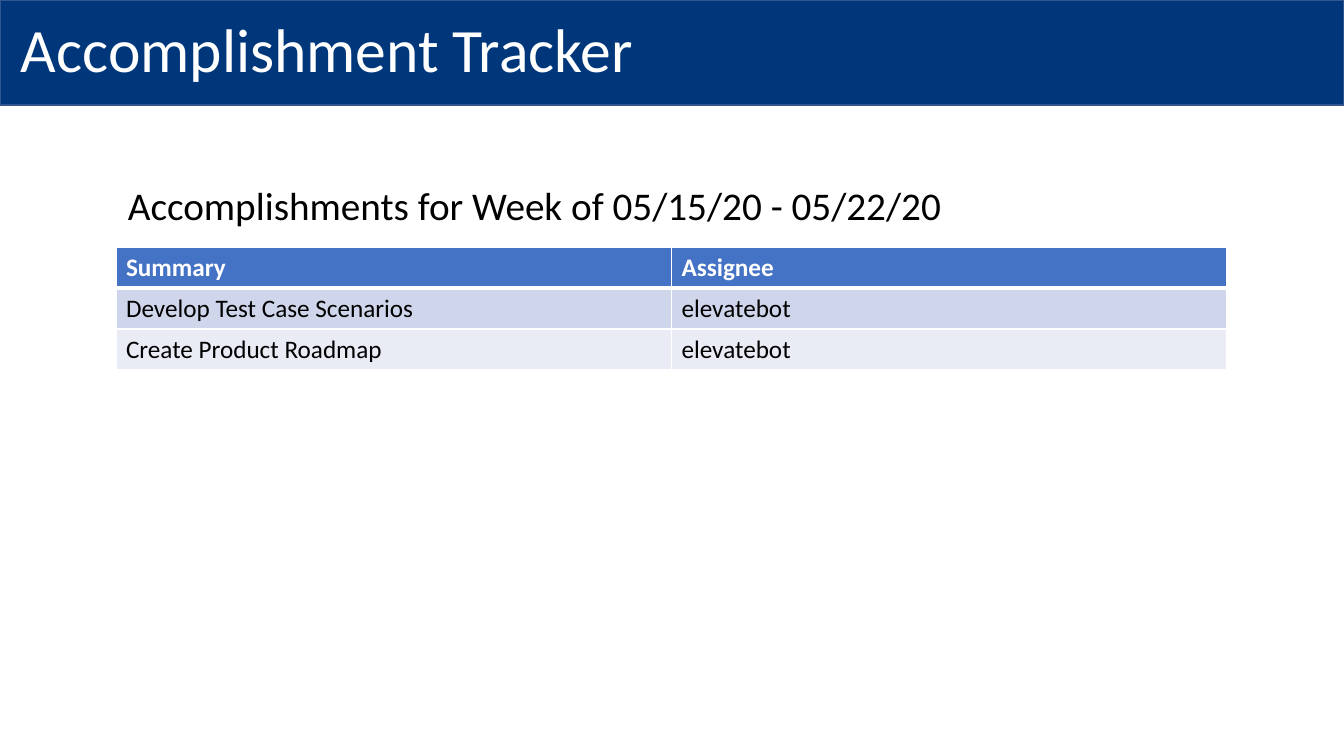
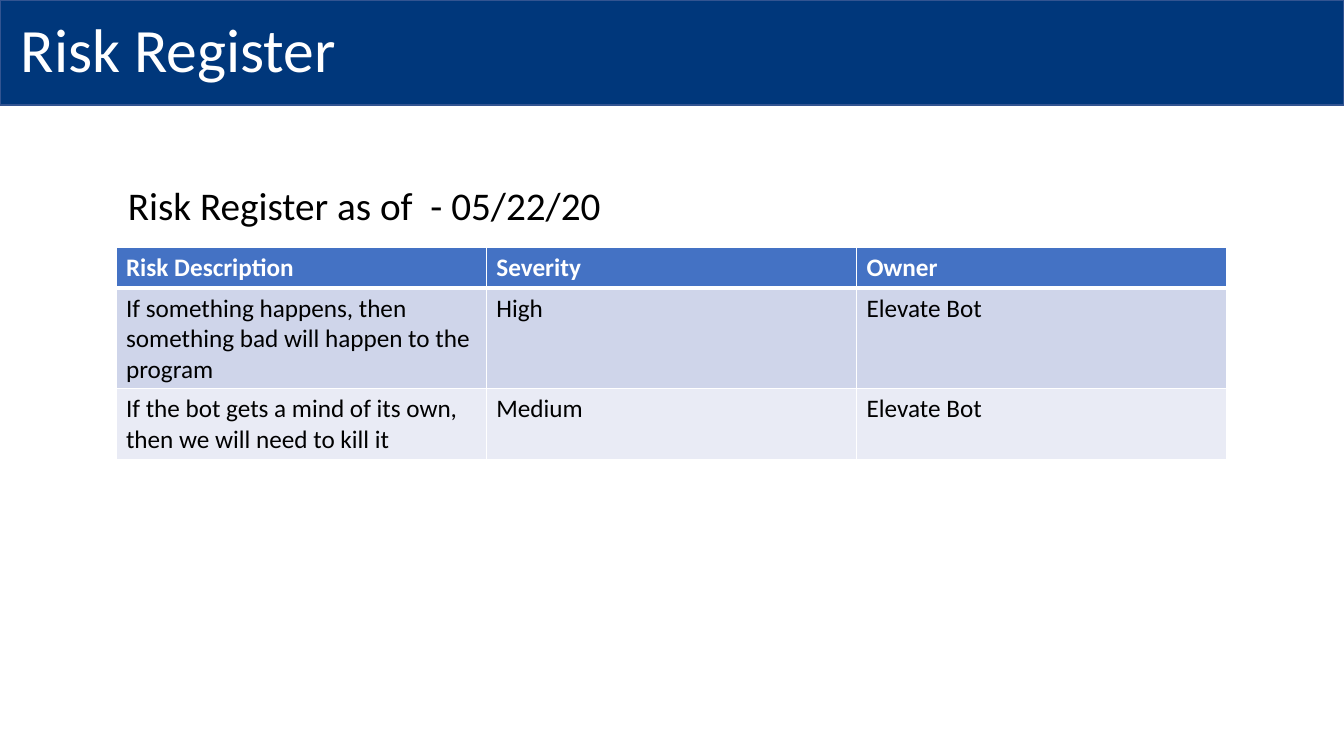
from dataclasses import dataclass

from lxml import etree
from pptx import Presentation
from pptx.dml.color import RGBColor
from pptx.enum.shapes import MSO_SHAPE
from pptx.enum.text import MSO_ANCHOR
from pptx.oxml.ns import qn
from pptx.slide import Slide
from pptx.table import _Cell
from pptx.text.text import TextFrame
from pptx.util import Emu, Pt

RECTANGLE = MSO_SHAPE.RECTANGLE
TOP, MIDDLE = MSO_ANCHOR.TOP, MSO_ANCHOR.MIDDLE
PIXEL = 12192000 / 1344
BLANK_LAYOUT = 6


@dataclass(frozen=True)
class Theme:
    """Colours, font and type sizes of the deck."""
    font: str = "Calibri"
    band: str = "00377B"
    band_line: str = "325491"
    white: str = "FFFFFF"
    black: str = "000000"
    header: str = "4472C4"
    stripes: tuple[str, str] = ("CFD5EA", "E9EBF5")
    title_size: int = 44
    heading_size: int = 28
    table_size: int = 18
    thin_rule: int = 1
    header_rule: int = 3


@dataclass(frozen=True)
class Area:
    """A rectangle in pixels."""
    left: int
    top: int
    width: int
    height: int

    def emu(self) -> tuple[Emu, Emu, Emu, Emu]:
        """Return the rectangle in EMU."""
        return (pixels(self.left), pixels(self.top),
                pixels(self.width), pixels(self.height))


@dataclass(frozen=True)
class TextStyle:
    """Look of one line of text."""
    size: int
    color: str
    bold: bool = False
    spacing: float = 1.0


@dataclass(frozen=True)
class Report:
    """Content of one page: the first row is the table header."""
    title: str
    heading: str
    rows: tuple[tuple[str, ...], ...]


THEME = Theme()
PAGE = Area(0, 0, 1344, 756)
BAND = Area(0, 0, PAGE.width, 105)
TITLE = Area(11, 0, 1159, BAND.height)
HEADING = Area(118, 176, 907, 57)
TABLE_LEFT, TABLE_TOP, TABLE_WIDTH, ROW_HEIGHT = 116, 247, 1111, 41

TITLE_STYLE = TextStyle(THEME.title_size, THEME.white, spacing=0.9)
HEADING_STYLE = TextStyle(THEME.heading_size, THEME.black)
HEADER_STYLE = TextStyle(THEME.table_size, THEME.white, bold=True)
BODY_STYLE = TextStyle(THEME.table_size, THEME.black)

REPORTS = (
    Report(
        "Accomplishment Tracker",
        "Accomplishments for Week of 05/15/20 - 05/22/20",
        (("Summary", "Assignee"),
         ("Develop Test Case Scenarios", "elevatebot"),
         ("Create Product Roadmap", "elevatebot")),
    ),
    Report(
        "Risk Register",
        "Risk Register as of  - 05/22/20",
        (("Risk Description", "Severity", "Owner"),
         ("If something happens, then something bad will happen to the program",
          "High", "Elevate Bot"),
         ("If the bot gets a mind of its own, then we will need to kill it",
          "Medium", "Elevate Bot")),
    ),
)


def pixels(count: int) -> Emu:
    """Turn pixels into EMU."""
    return Emu(round(count * PIXEL))


def write(frame: TextFrame, text: str, style: TextStyle) -> None:
    """Put one styled paragraph into a text frame."""
    frame.word_wrap = True
    paragraph = frame.paragraphs[0]
    paragraph.text = text
    paragraph.line_spacing = style.spacing
    font = paragraph.font
    font.name = THEME.font
    font.size = Pt(style.size)
    font.bold = style.bold
    font.color.rgb = RGBColor.from_string(style.color)


def add_band(page: Slide) -> None:
    """Draw the band behind the title."""
    band = page.shapes.add_shape(RECTANGLE, *BAND.emu())
    band.shadow.inherit = False
    band.fill.solid()
    band.fill.fore_color.rgb = RGBColor.from_string(THEME.band)
    band.line.color.rgb = RGBColor.from_string(THEME.band_line)
    band.line.width = Pt(1)


def add_text(page: Slide, area: Area, text: str, style: TextStyle,
             anchor: MSO_ANCHOR = TOP) -> None:
    """Add a text box with one paragraph."""
    box = page.shapes.add_textbox(*area.emu())
    box.text_frame.vertical_anchor = anchor
    write(box.text_frame, text, style)


def set_borders(cell: _Cell, top: int, bottom: int) -> None:
    """Give a cell white borders; widths are in points."""
    properties = cell._tc.get_or_add_tcPr()
    widths = {"a:lnL": THEME.thin_rule, "a:lnR": THEME.thin_rule,
              "a:lnT": top, "a:lnB": bottom}
    for tag, width in widths.items():
        line = etree.SubElement(properties, qn(tag), w=str(Pt(width)))
        fill = etree.SubElement(line, qn("a:solidFill"))
        etree.SubElement(fill, qn("a:srgbClr"), val=THEME.white)


def add_table(page: Slide, rows: tuple[tuple[str, ...], ...]) -> None:
    """Add a striped table with equal columns and a header row."""
    area = Area(TABLE_LEFT, TABLE_TOP, TABLE_WIDTH, ROW_HEIGHT * len(rows))
    table = page.shapes.add_table(len(rows), len(rows[0]), *area.emu()).table
    for row, texts in enumerate(rows):
        is_header = row == 0
        style = HEADER_STYLE if is_header else BODY_STYLE
        color = THEME.header if is_header else THEME.stripes[(row - 1) % 2]
        top = THEME.header_rule if row == 1 else THEME.thin_rule
        bottom = THEME.header_rule if is_header else THEME.thin_rule
        for column, text in enumerate(texts):
            cell = table.cell(row, column)
            write(cell.text_frame, text, style)
            set_borders(cell, top, bottom)
            cell.fill.solid()
            cell.fill.fore_color.rgb = RGBColor.from_string(color)


def main() -> None:
    """Build and save the deck."""
    deck = Presentation()
    deck.slide_width, deck.slide_height = pixels(PAGE.width), pixels(PAGE.height)
    for report in REPORTS:
        page = deck.slides.add_slide(deck.slide_layouts[BLANK_LAYOUT])
        add_band(page)
        add_text(page, TITLE, report.title, TITLE_STYLE, MIDDLE)
        add_table(page, report.rows)
        add_text(page, HEADING, report.heading, HEADING_STYLE)
    deck.save("out.pptx")


main()
